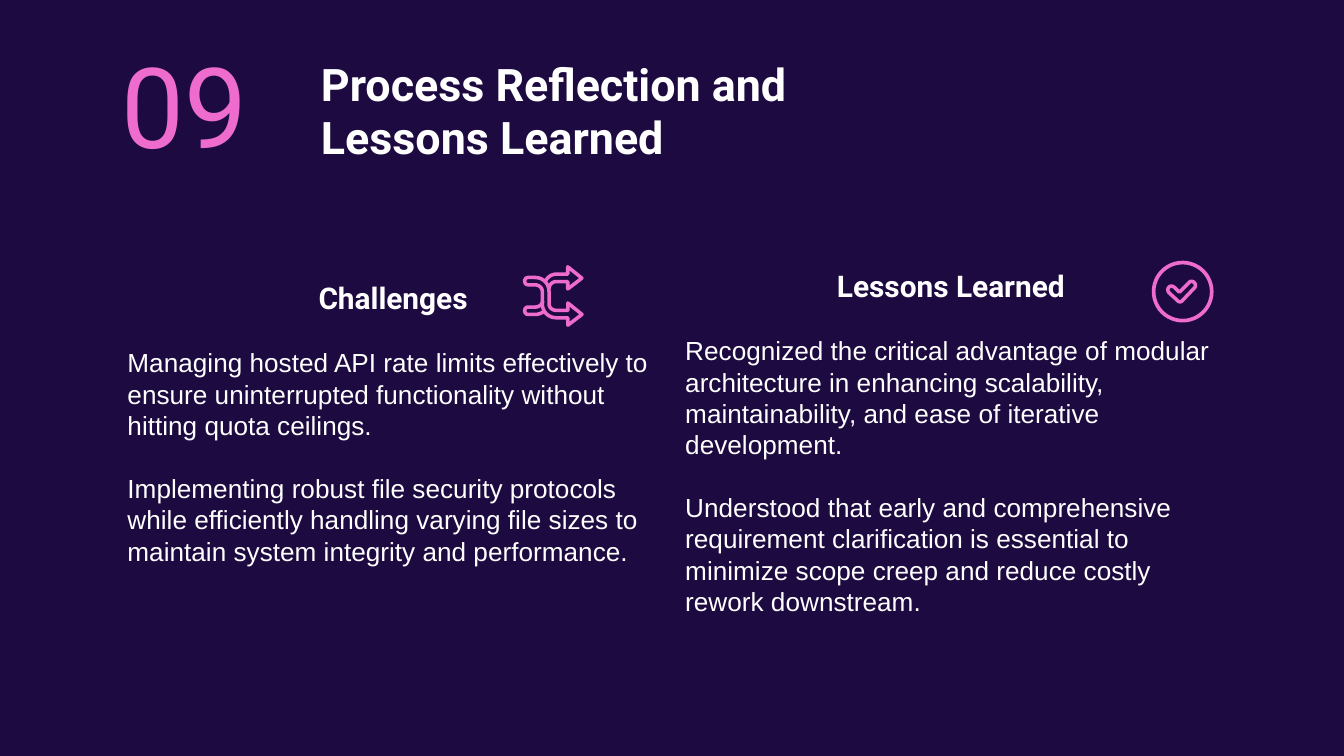
from dataclasses import dataclass

import pptx
import pptx.dml.color
import pptx.enum.shapes
import pptx.enum.text
import pptx.util
from pptx.util import Inches

ALIGN = pptx.enum.text.PP_ALIGN
ANCHOR = pptx.enum.text.MSO_ANCHOR
SHAPE = pptx.enum.shapes.MSO_SHAPE


@dataclass(frozen=True)
class Theme:
    background: str = "1D0A40"
    text: str = "FFFFFF"
    accent: str = "ED6CCD"
    heading_font: str = "Roboto"
    body_font: str = "Arial"
    number_size: int = 60
    title_size: int = 24
    heading_size: int = 16
    body_size: int = 14
    paragraph_gap: float = 16.8
    icon_line: float = 1.9


def color(value):
    return pptx.dml.color.RGBColor.from_string(value)


def flatten(path, unit, steps=10):
    """Turn points and cubic curves (three points each) into a list of EMU points."""
    points = [path[0]]
    for segment in path[1:]:
        if len(segment) == 2:
            points.append(segment)
            continue
        curve = (points[-1], *segment)
        for step in range(1, steps + 1):
            t = step / steps
            weights = ((1 - t) ** 3, 3 * t * (1 - t) ** 2, 3 * t * t * (1 - t), t ** 3)
            points.append(tuple(sum(w * p[axis] for w, p in zip(weights, curve))
                                for axis in (0, 1)))
    return [(round(x * unit), round(y * unit)) for x, y in points]


class SlideBuilder:
    def __init__(self, presentation, theme):
        self.theme = theme
        self.slide = presentation.slides.add_slide(presentation.slide_layouts[6])
        fill = self.slide.background.fill
        fill.solid()
        fill.fore_color.rgb = color(theme.background)

    def text_box(self, left, top, width, height, inset=0.1, anchor=ANCHOR.TOP):
        box = self.slide.shapes.add_textbox(
            Inches(left), Inches(top), Inches(width), Inches(height))
        frame = box.text_frame
        frame.word_wrap = True
        frame.vertical_anchor = anchor
        frame.margin_left = frame.margin_right = Inches(0.1)
        frame.margin_top = frame.margin_bottom = Inches(inset)
        return frame

    def style(self, paragraph, size, font, value, bold=False, align=ALIGN.LEFT):
        paragraph.alignment = align
        paragraph.font.size = pptx.util.Pt(size)
        paragraph.font.name = font
        paragraph.font.bold = bold
        paragraph.font.color.rgb = color(value)

    def title(self, text):
        paragraph = self.text_box(2.29, 0.32, 8.86, 0.63).paragraphs[0]
        paragraph.text = text
        self.style(paragraph, self.theme.title_size, self.theme.heading_font,
                   self.theme.text, bold=True)

    def section_number(self, text):
        paragraph = self.text_box(0.46, 0.32, 1.83, 0.91, anchor=ANCHOR.MIDDLE).paragraphs[0]
        paragraph.text = text
        self.style(paragraph, self.theme.number_size, self.theme.heading_font,
                   self.theme.accent, align=ALIGN.CENTER)

    def column(self, left, top, height, heading, statements):
        theme = self.theme
        frame = self.text_box(left, top, 4.15, height, inset=0.05)
        frame.paragraphs[0].text = heading
        self.style(frame.paragraphs[0], theme.heading_size, theme.heading_font,
                   theme.text, bold=True, align=ALIGN.CENTER)
        for statement in statements:
            paragraph = frame.add_paragraph()
            paragraph.text = statement
            paragraph.space_before = pptx.util.Pt(theme.paragraph_gap)
            self.style(paragraph, theme.body_size, theme.body_font, theme.text)

    def ring(self, left, top, size):
        ring = self.slide.shapes.add_shape(
            SHAPE.DONUT, Inches(left), Inches(top), Inches(size), Inches(size))
        ring.adjustments[0] = 0.06
        ring.shadow.inherit = False
        ring.fill.solid()
        ring.fill.fore_color.rgb = color(self.theme.accent)
        ring.line.fill.background()

    def stroke(self, left, top, path, closed):
        """Draw an icon line whose path is in steps of 0.005 inch."""
        start, *rest = flatten(path, Inches(0.01) / 2)
        builder = self.slide.shapes.build_freeform(*start, scale=1.0)
        builder.add_line_segments(rest, close=closed)
        line = builder.convert_to_shape(Inches(left), Inches(top))
        line.shadow.inherit = False
        line.fill.background()
        line.line.color.rgb = color(self.theme.accent)
        line.line.width = pptx.util.Pt(self.theme.icon_line)


CHALLENGES = (
    "Managing hosted API rate limits effectively to ensure uninterrupted "
    "functionality without hitting quota ceilings.",
    "Implementing robust file security protocols while efficiently handling "
    "varying file sizes to maintain system integrity and performance.",
)
LESSONS = (
    "Recognized the critical advantage of modular architecture in enhancing "
    "scalability, maintainability, and ease of iterative development.",
    "Understood that early and comprehensive requirement clarification is "
    "essential to minimize scope creep and reduce costly rework downstream.",
)

CHECK_MARK = [
    (41, 47), (56, 32), ((60, 28), (68, 34), (64, 40)), (46, 59),
    ((44, 62), (40, 62), (38, 59)), (26, 48), ((20, 42), (28, 34), (34, 40)),
]
FRONT_ARROW = [
    (8, 19), (18, 19), ((30, 19), (39, 28), (39, 40)), (39, 58),
    ((39, 64), (44, 68), (50, 68)), (67, 68), (67, 57), (88, 74), (67, 90), (67, 79),
    (50, 79), ((38, 79), (29, 70), (29, 58)), (29, 40),
    ((29, 34), (24, 30), (18, 30)), (8, 30), ((1, 30), (1, 19), (8, 19)),
]
UPPER_ARROW = [
    (34, 24), ((38, 17), (44, 14), (50, 14)), (67, 14), (67, 3), (88, 20), (67, 36),
    (67, 25), (50, 25), ((44, 25), (39, 30), (39, 36)),
]
LOWER_TAIL = [
    (30, 54), ((28, 60), (24, 63), (18, 63)), (8, 63), ((1, 63), (1, 74), (8, 74)),
    (18, 74), ((24, 74), (28, 72), (32, 69)),
]


def main():
    presentation = pptx.Presentation()
    presentation.slide_width = Inches(10)
    presentation.slide_height = presentation.slide_width * 9 // 16

    slide = SlideBuilder(presentation, Theme())
    slide.title("Process Reflection and \nLessons Learned")
    slide.section_number("09")
    slide.column(0.85, 2.03, 2.49, "Challenges", CHALLENGES)
    slide.column(5, 1.94, 2.96, "Lessons Learned", LESSONS)

    slide.ring(8.57, 1.94, 0.46)
    slide.stroke(8.57, 1.94, CHECK_MARK, closed=True)
    for path, closed in ((FRONT_ARROW, True), (UPPER_ARROW, False), (LOWER_TAIL, False)):
        slide.stroke(3.89, 1.97, path, closed)

    presentation.save("out.pptx")


if __name__ == "__main__":
    main()
